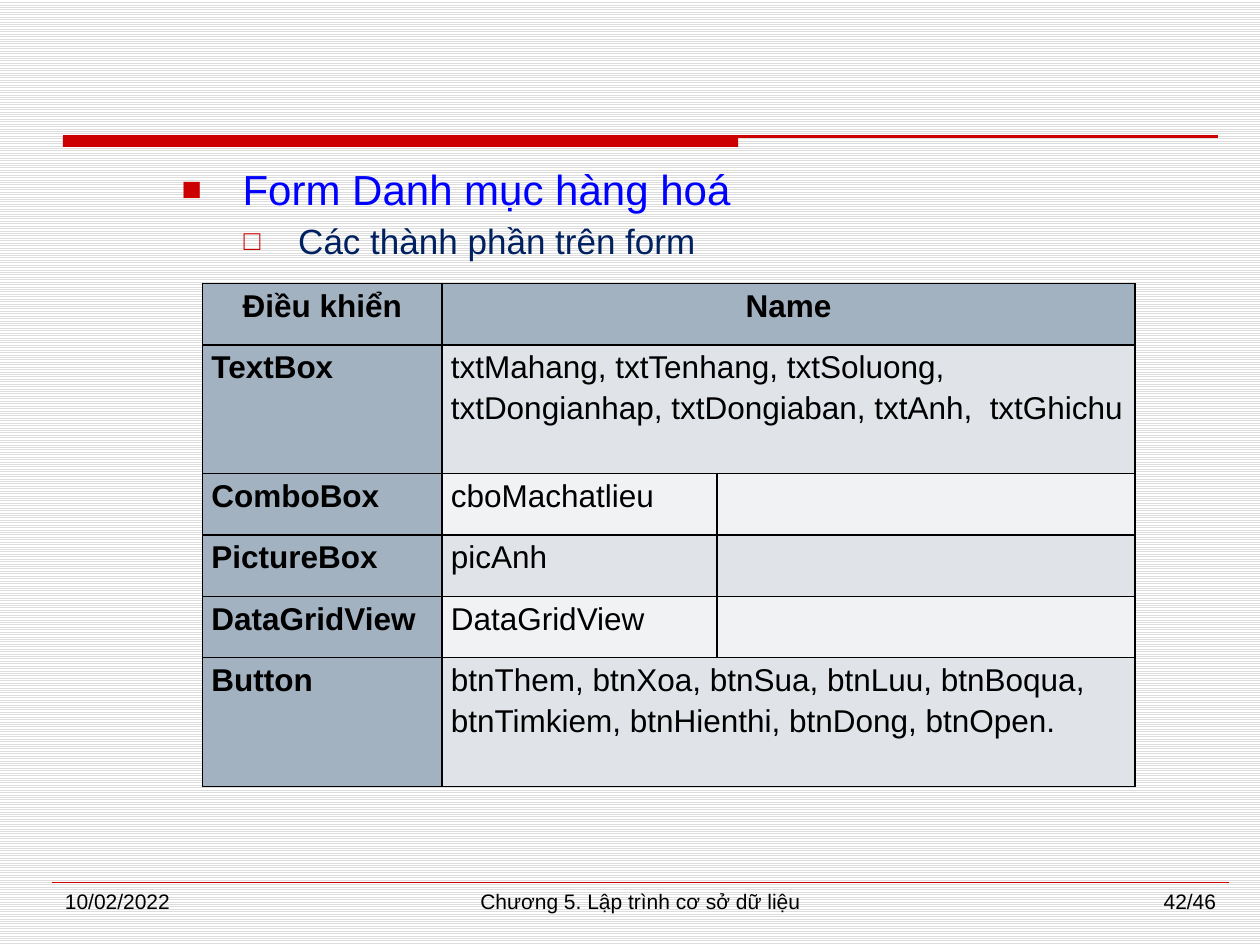
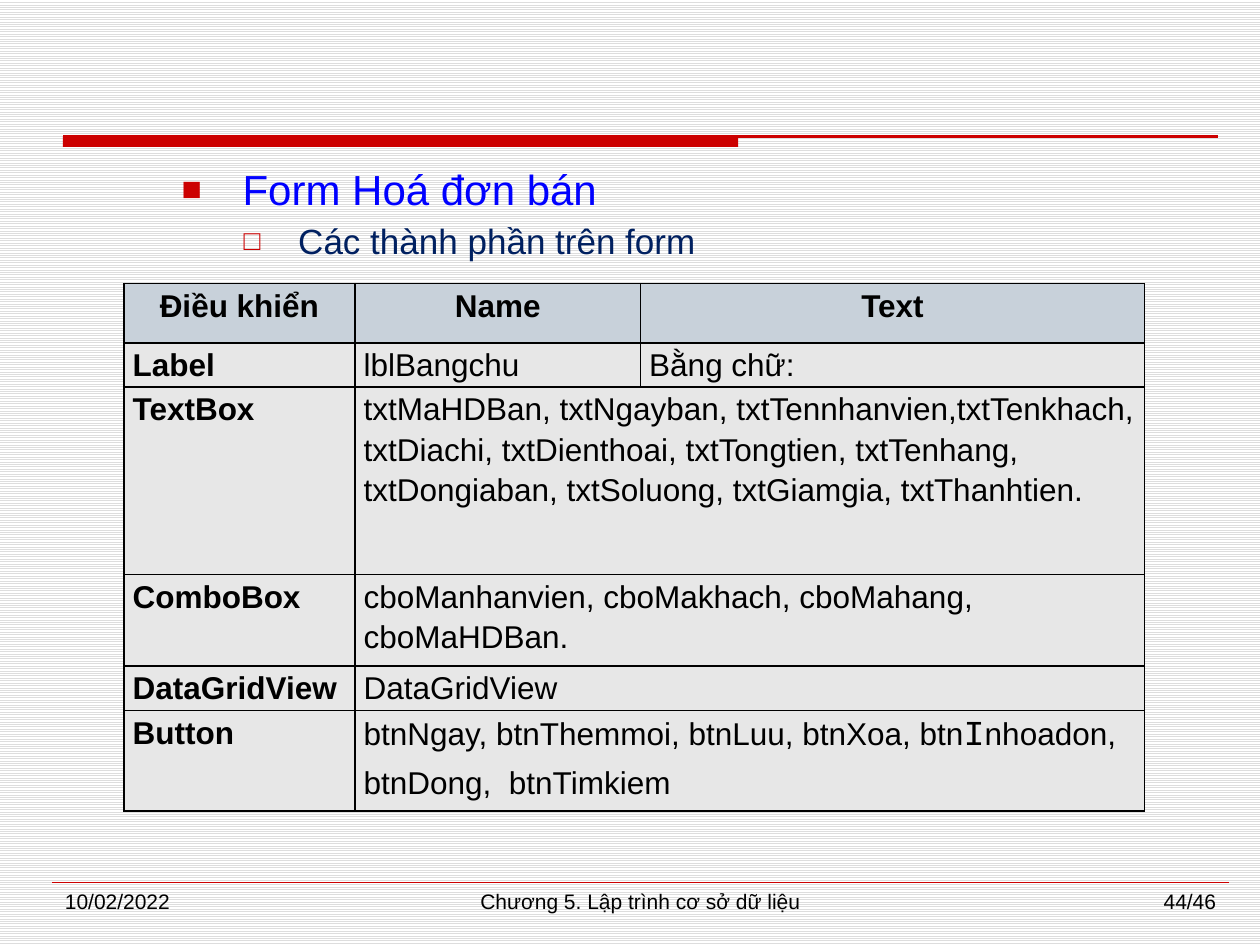
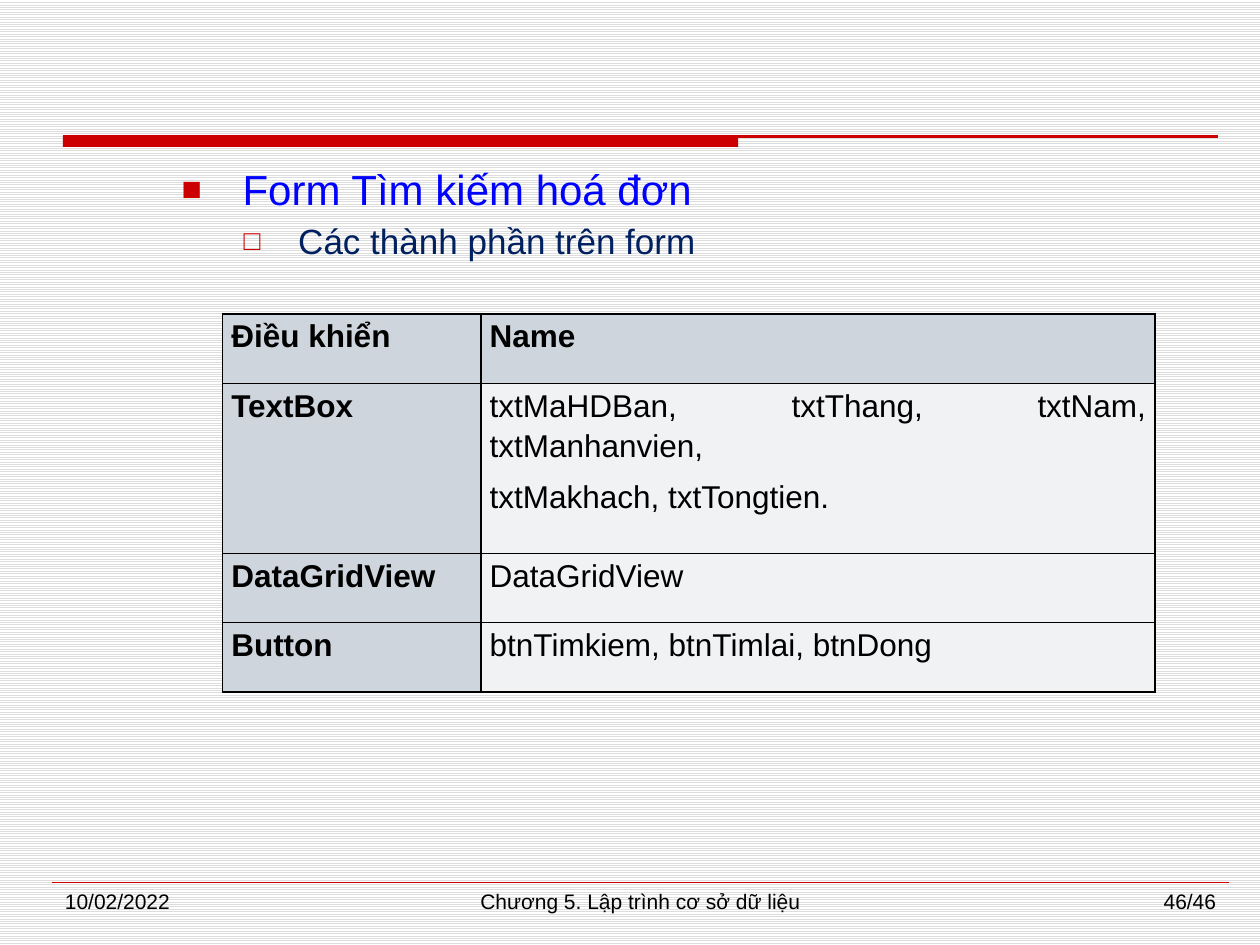
from lxml import etree
from pptx import Presentation
from pptx import util as u
from pptx.dml.color import RGBColor
from pptx.enum import dml, shapes, text
from pptx.oxml.ns import qn

# Shared style
FACE, MONO = "Arial", "Courier New"
RED, BLUE, NAVY, BLACK = "CC0000", "0000FF", "002060", "000000"
COLS, ROWS = 120, 90
LEFT, MID, RIGHT, FULL = (text.PP_ALIGN.LEFT, text.PP_ALIGN.CENTER,
                          text.PP_ALIGN.RIGHT, text.PP_ALIGN.JUSTIFY)


def tint(code):
    return RGBColor.from_string(code)


def add(node, tag, **attrs):
    return etree.SubElement(node, qn("a:" + tag), attrs)


class Deck:
    def __init__(self):
        self.prs = Presentation()
        self.prs.slide_width, self.prs.slide_height = u.Inches(10), u.Inches(7.5)
        self.slide = None
        fill = self.prs.slide_master.background.fill
        fill.patterned()
        fill.pattern = dml.MSO_PATTERN.LIGHT_HORIZONTAL
        fill.fore_color.rgb, fill.back_color.rgb = tint("DDDDDD"), tint("FFFFFF")

    def x(self, n):
        return round(n * self.prs.slide_width / COLS)

    def y(self, n):
        return round(n * self.prs.slide_height / ROWS)

    def box(self, left, top, wide, high):
        return self.x(left), self.y(top), self.x(wide), self.y(high)

    def font(self, para, size, color=BLACK, bold=False):
        font = para.font
        font.name, font.size, font.bold = FACE, u.Pt(size), bold
        font.color.rgb = tint(color)

    def line(self, left, right, row, width):
        line = self.slide.shapes.add_connector(
            shapes.MSO_CONNECTOR.STRAIGHT,
            self.x(left), self.y(row), self.x(right), self.y(row))
        line.line.color.rgb, line.line.width = tint(RED), u.Pt(width)
        add(line._element.spPr, "effectLst")

    def bar(self, *place):
        bar = self.slide.shapes.add_shape(
            shapes.MSO_SHAPE.RECTANGLE, *self.box(*place))
        bar.shadow.inherit = False
        bar.fill.solid()
        bar.fill.fore_color.rgb = tint(RED)
        bar.line.fill.background()

    def label(self, words, left, wide, side):
        frame = self.slide.shapes.add_textbox(
            *self.box(left, 84, wide, 4.2)).text_frame
        frame.word_wrap = True
        para = frame.paragraphs[0]
        para.text, para.alignment = words, side
        self.font(para, 12)

    def page(self, number):
        self.slide = self.prs.slides.add_slide(self.prs.slide_layouts[1])
        title = self.slide.shapes.title._element
        title.getparent().remove(title)
        # Band and footer
        self.bar(6, 13, 64.3, 1)
        self.line(6, 116, 13, 1.5)
        self.line(5, 117, 84, 0.25)
        self.label("10/02/2022", 5, 26, LEFT)
        self.label("Chương 5. Lập trình cơ sở dữ liệu", 35, 52, MID)
        self.label(f"{number}/46", 91, 26, RIGHT)

    def heads(self, *lines):
        body = self.slide.placeholders[1]
        body.left, body.top, body.width, body.height = self.box(10, 15, 104, 68)
        frame = body.text_frame
        frame.auto_size = text.MSO_AUTO_SIZE.NONE
        looks = ((11.9, 5.8, "■", 24, BLUE, 0), (17.2, 5.2, "□", 20, NAVY, 3))
        for level, (words, look) in enumerate(zip(lines, looks)):
            edge, hang, mark, size, color, gap = look
            para = frame.add_paragraph() if level else frame.paragraphs[0]
            para.text, para.level, para.alignment = words, level, FULL
            para.space_before = u.Pt(gap)
            props = para._p.get_or_add_pPr()
            props.set("marL", str(self.x(edge)))
            props.set("indent", str(-self.x(hang)))
            add(add(props, "buClr"), "srgbClr", val=RED)
            add(props, "buSzPct", val="80000")
            add(props, "buChar", char=mark)
            self.font(para, size, color)

    def enter(self, cell, words, side, bold, gaps):
        """Lines become paragraphs; words between backticks are monospaced."""
        inner, last = gaps
        lines = words.split("\n")
        frame = cell.text_frame
        for n, line in enumerate(lines):
            para = frame.add_paragraph() if n else frame.paragraphs[0]
            para.alignment, para.line_spacing = side, 1.15
            para.space_after = u.Pt(last if n == len(lines) - 1 else inner)
            self.font(para, 18, bold=bold)
            for k, part in enumerate(line.split("`")):
                run = para.add_run()
                run.text = part
                if k % 2:
                    run.font.name, run.font.size = MONO, u.Pt(20)

    def paint(self, cell, color):
        props = cell._tc.get_or_add_tcPr()
        for edge in ("lnL", "lnR", "lnT", "lnB"):
            line = add(props, edge, w=str(u.Pt(1)))
            add(add(line, "solidFill"), "srgbClr", val=BLACK)
        cell.fill.solid()
        cell.fill.fore_color.rgb = tint(color)
        cell.margin_left = cell.margin_right = self.x(0.84)
        cell.margin_top = cell.margin_bottom = 0

    def table(self, left, top, wides, highs, rows, head, side, bands,
              aligns=(MID, LEFT), gaps=(6, 6)):
        """A row with fewer entries than columns spans its last one."""
        grid = self.slide.shapes.add_table(
            len(highs), len(wides),
            *self.box(left, top, sum(wides), sum(highs))).table
        grid.first_row = grid.horz_banding = False
        for col, wide in zip(grid.columns, wides):
            col.width = self.x(wide)
        for r, (high, row) in enumerate(zip(highs, rows)):
            grid.rows[r].height = self.y(high)
            for c in range(len(wides)):
                color = bands[r % len(bands)] if c else side
                self.paint(grid.cell(r, c), color if r else head)
            for c, words in enumerate(row):
                if words:
                    self.enter(grid.cell(r, c), words, aligns[r > 0],
                               r == 0 or c == 0, gaps)
            if len(row) < len(wides):
                grid.cell(r, len(row) - 1).merge(grid.cell(r, len(wides) - 1))


def main():
    deck = Deck()
    parts = "Các thành phần trên form"

    # Goods form
    deck.page(42)
    deck.heads("Form Danh mục hàng hoá", parts)
    deck.table(
        19.3, 27, (22.8, 26.2, 39.8), (5.85, 12.25, 5.85, 5.85, 5.85, 12.25),
        [("Điều khiển", "Name"),
         ("TextBox", "txtMahang, txtTenhang, txtSoluong,  txtDongianhap, "
                     "txtDongiaban, txtAnh,  txtGhichu"),
         ("ComboBox", "cboMachatlieu", ""),
         ("PictureBox", "picAnh", ""),
         ("DataGridView", "DataGridView", ""),
         ("Button", "btnThem, btnXoa, btnSua, btnLuu, btnBoqua,\n"
                    "btnTimkiem, btnHienthi, btnDong, btnOpen.")],
        "A3B2C1", "A3B2C1", ("F0F2F4", "E0E4E9"), gaps=(0, 6))

    # Sales invoice form
    deck.page(44)
    deck.heads("Form Hoá đơn bán", parts)
    deck.table(
        11.8, 27, (22, 27.2, 48), (5.65, 4.2, 17.85, 8.75, 4.2, 9.6),
        [("Điều khiển", "Name", "Text"),
         ("Label", "lblBangchu", "Bằng chữ:"),
         ("TextBox", "txtMaHDBan, txtNgayban, txtTennhanvien,txtTenkhach, "
                     "txtDiachi, txtDienthoai, txtTongtien, txtTenhang, "
                     "txtDongiaban, txtSoluong, txtGiamgia, txtThanhtien."),
         ("ComboBox", "cboManhanvien, cboMakhach, cboMahang, cboMaHDBan."),
         ("DataGridView", "DataGridView"),
         ("Button", "btnNgay, btnThemmoi, btnLuu, btnXoa, btn`I`nhoadon,\n"
                    "btnDong,  btnTimkiem")],
        "C8D1DA", "E7E7E7", ("E7E7E7",), gaps=(3, 3))

    # Invoice search form
    deck.page(46)
    deck.heads("Form Tìm kiếm hoá đơn", parts)
    deck.table(
        21.2, 29.9, (24.6, 64.2), (6.6, 16.2, 6.6, 6.6),
        [("Điều khiển", "Name"),
         ("TextBox", "txtMaHDBan, txtThang, txtNam, txtManhanvien,\n"
                     "txtMakhach, txtTongtien."),
         ("DataGridView", "DataGridView"),
         ("Button", "btnTimkiem, btnTimlai, btnDong")],
        "CED5DD", "CED5DD", ("F0F2F4",), aligns=(FULL, FULL))

    deck.prs.save("out.pptx")


if __name__ == "__main__":
    main()
